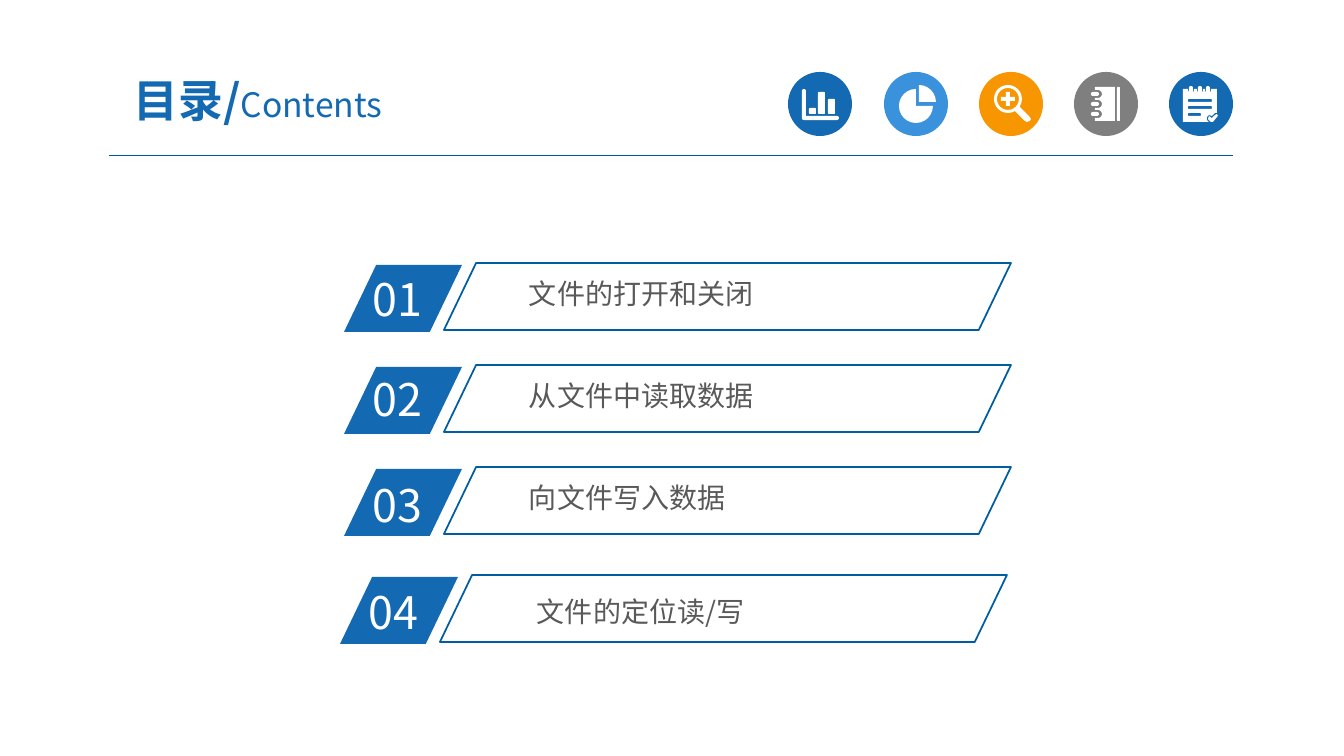
import math
import pptx
import pptx.util
import pptx.dml.color
import pptx.enum.shapes
import pptx.enum.text
import pptx.oxml.ns
import lxml.etree

RGB = pptx.dml.color.RGBColor
KIND = pptx.enum.shapes.MSO_SHAPE
ALIGN = pptx.enum.text.PP_ALIGN
ANCHOR = pptx.enum.text.MSO_ANCHOR
QN = pptx.oxml.ns.qn

BLUE = RGB(0x13, 0x69, 0xB2)
SKY = RGB(0x39, 0x92, 0xDB)
ORANGE = RGB(0xF7, 0x96, 0x00)
GREY = RGB(0x7F, 0x7F, 0x7F)
WHITE = RGB(0xFF, 0xFF, 0xFF)
INK = RGB(0x59, 0x59, 0x59)
EDGE = RGB(0x00, 0x5D, 0xA2)
RULE = RGB(0x00, 0x5B, 0x9E)
FACE = "Noto Sans CJK SC"

TITLE = [("目录/", 32, True), ("Contents", 24, False)]

# number, label, plate left, plate top, number top, label left, label top
ROWS = [
    ("01", "文件的打开和关闭", 344, 265, 267, 522, 272),
    ("02", "从文件中读取数据", 344, 367, 367, 522, 374),
    ("03", "向文件写入数据", 344, 469, 473, 522, 476),
    ("04", "文件的定位读/写", 340, 577, 580, 530, 590),
]


def arc(x, y, size, start=0, end=360):
    count = max(2, abs(end - start) // 15)
    turns = [math.radians(start + (end - start) * n / count) for n in range(count + 1)]
    return [(x + size * math.cos(t), y + size * math.sin(t)) for t in turns]


def bar(x, y, wide, high, curve):
    right, low = x + wide - curve, y + high - curve
    return (arc(right, low, curve, 0, 90) + arc(x + curve, low, curve, 90, 180)
            + arc(x + curve, y + curve, curve, 180, 270)
            + arc(right, y + curve, curve, 270, 360))


def chart():
    axis = (arc(16, 19, 2, 180, 360) + [(18, 44)] + arc(49, 46, 2, -90, 90)
            + arc(16, 46, 2, 90, 180))
    bars = [(21, 36, 6), (30, 20, 22), (40, 27, 15)]
    return [axis] + [bar(x, y, 7, high, 1) for x, y, high in bars]


def pie():
    return [arc(35, 30, 17, -90, 0) + [(35, 30)],
            arc(32, 34, 17, 0, 270) + [(32, 34)]]


def lens():
    grip = [(41, 35), (50, 44), (52, 47), (51, 49), (48, 50), (46, 49), (36, 39)]
    plus = []
    for turn in range(0, 360, 90):
        c, s = math.cos(math.radians(turn)), math.sin(math.radians(turn))
        for x, y in [(2, -2), (7, -2), (7, 2)]:
            plus.append((29 + x * c - y * s, 27 + x * s + y * c))
    return [arc(29, 27, 14, 60, 390) + grip, arc(29, 27, 11), plus]


def book():
    rings = (42, 32, 22)
    cover = [(21, 15), (41, 15), (41, 49), (21, 49)]
    for y in rings:
        cover += [(21, y + 4)] + arc(24, y, 4, 90, -90) + [(21, y - 4)]
    return [cover, bar(43, 15, 3, 34, 1)] + [bar(17, y - 2, 8, 4, 2) for y in rings]


def pad():
    pins = (22, 31, 39)
    sheet = [(14, 17)]
    for x in pins:
        sheet += [(x - 3, 17)] + arc(x, 18, 3, 180, 0) + [(x + 3, 17)]
    sheet += [(48, 17), (48, 41), (46, 41), (43, 44), (40, 43), (38, 45), (38, 48),
              (40, 50), (14, 50)]
    tick = [(48, 45), (44, 50), (42, 50), (39, 47), (40, 44), (43, 46), (46, 43),
            (48, 42), (49, 44)]
    lines = [bar(19, y, wide, 3, 1) for y, wide in ((27, 24), (34, 24), (41, 13))]
    return [sheet, tick] + lines + [bar(x - 2, 14, 4, 7, 2) for x in pins]


ICONS = [(788, BLUE, chart), (884, SKY, pie), (979, ORANGE, lens),
         (1074, GREY, book), (1169, BLUE, pad)]


def px(size):
    return pptx.util.Emu(round(size * 914400 / 100.8))


def paint(item, fill=None, line=None):
    item.shadow.inherit = False
    if fill is None:
        item.fill.background()
    else:
        item.fill.solid()
        item.fill.fore_color.rgb = fill
    if line is None:
        item.line.fill.background()
    else:
        item.line.color.rgb = line
        item.line.width = pptx.util.Pt(1.25)


def shape(kind, left, top, wide, high, fill=None, line=None):
    item = slide.shapes.add_shape(kind, px(left), px(top), px(wide), px(high))
    if kind == KIND.PARALLELOGRAM:
        item.adjustments[0] = 0.48
    paint(item, fill, line)


def icon(left, top, loops):
    pen = None
    for loop in loops:
        spots = [(px(left + x), px(top + y)) for x, y in loop]
        if pen is None:
            pen = slide.shapes.build_freeform(*spots[0])
        else:
            pen.move_to(*spots[0])
        pen.add_line_segments(spots[1:], close=True)
    paint(pen.convert_to_shape(), WHITE)


def text(words, left, top, wide, high, color, size, inset, anchor=ANCHOR.TOP, align=ALIGN.LEFT):
    frame = slide.shapes.add_textbox(px(left), px(top), px(wide), px(high)).text_frame
    frame.word_wrap = True
    frame.vertical_anchor = anchor
    frame.margin_left = frame.margin_right = px(inset[0])
    frame.margin_top = frame.margin_bottom = px(inset[1])
    para = frame.paragraphs[0]
    para.alignment = align
    para.font.size = pptx.util.Pt(size)
    para.font.color.rgb = color
    para.font.name = FACE
    base = para._p.find(".//" + QN("a:defRPr"))
    lxml.etree.SubElement(base, QN("a:ea")).set("typeface", FACE)
    para.text = words
    return para


deck = pptx.Presentation()
deck.slide_width, deck.slide_height = px(1344), px(756)
slide = deck.slides.add_slide(deck.slide_layouts[6])

rule = slide.shapes.add_connector(
    pptx.enum.shapes.MSO_CONNECTOR.STRAIGHT, px(109), px(156), px(1233), px(156))
rule.line.color.rgb = RULE
rule.line.width = pptx.util.Pt(0.75)
lxml.etree.SubElement(rule._element.spPr, QN("a:effectLst"))

for left, color, draw in ICONS:
    shape(KIND.OVAL, left, 72, 64, 64, color)
    icon(left, 72, draw())

head = text("", 92, 63, 332, 73, BLUE, 32, (13, 7), ANCHOR.MIDDLE, ALIGN.CENTER)
for words, size, bold in TITLE:
    run = head.add_run()
    run.text = words
    run.font.size = pptx.util.Pt(size)
    run.font.bold = bold

for number, label, left, top, num_top, label_left, label_top in ROWS:
    shape(KIND.PARALLELOGRAM, left, top, 118, 67, BLUE)
    text(number, left + 19, num_top, 113, 65, WHITE, 32, (10, 5))
    text(label, label_left, label_top, 415, 41, INK, 20, (7, 4))
    shape(KIND.PARALLELOGRAM, left + 100, top - 2, 567, 67, None, EDGE)

deck.save("out.pptx")
